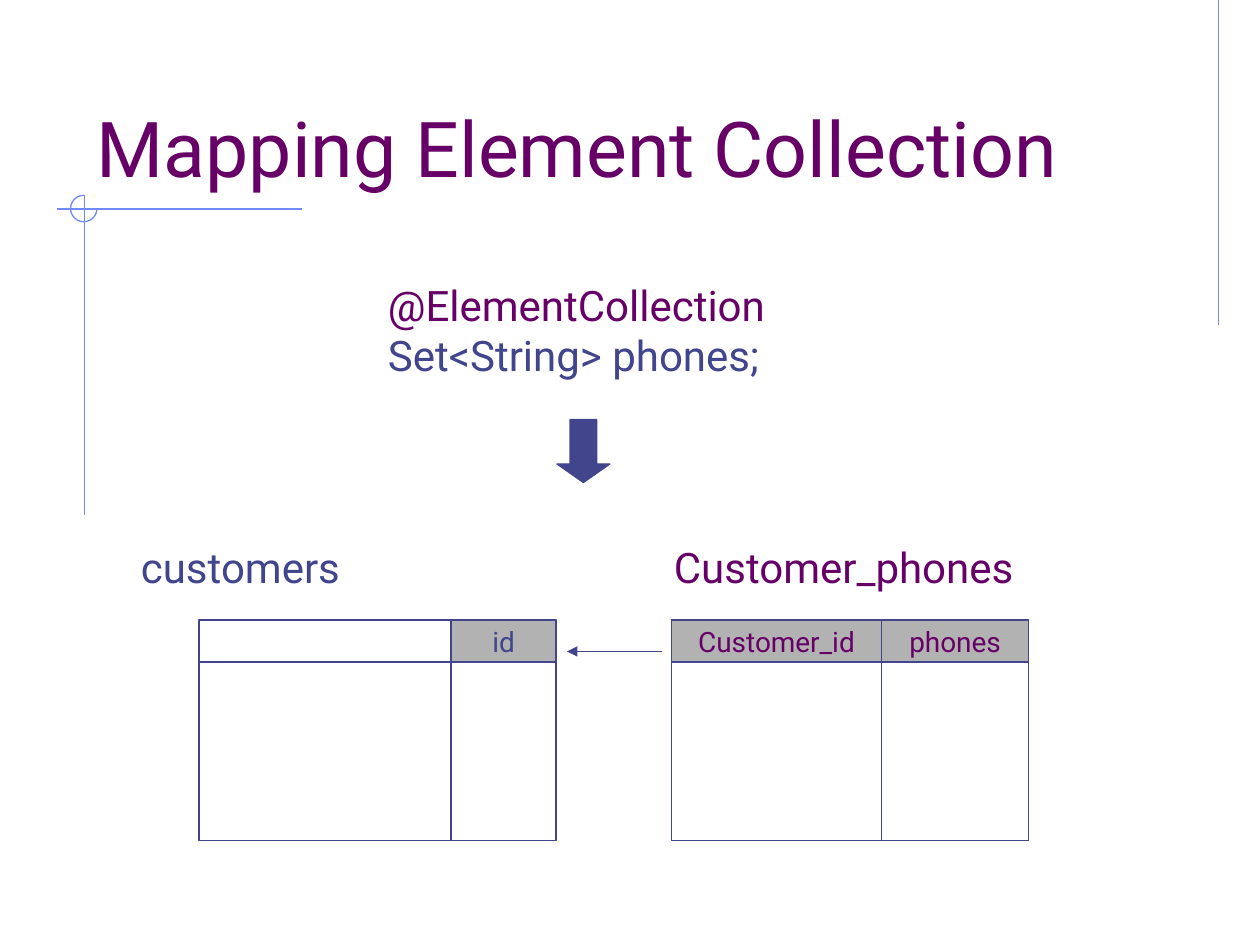
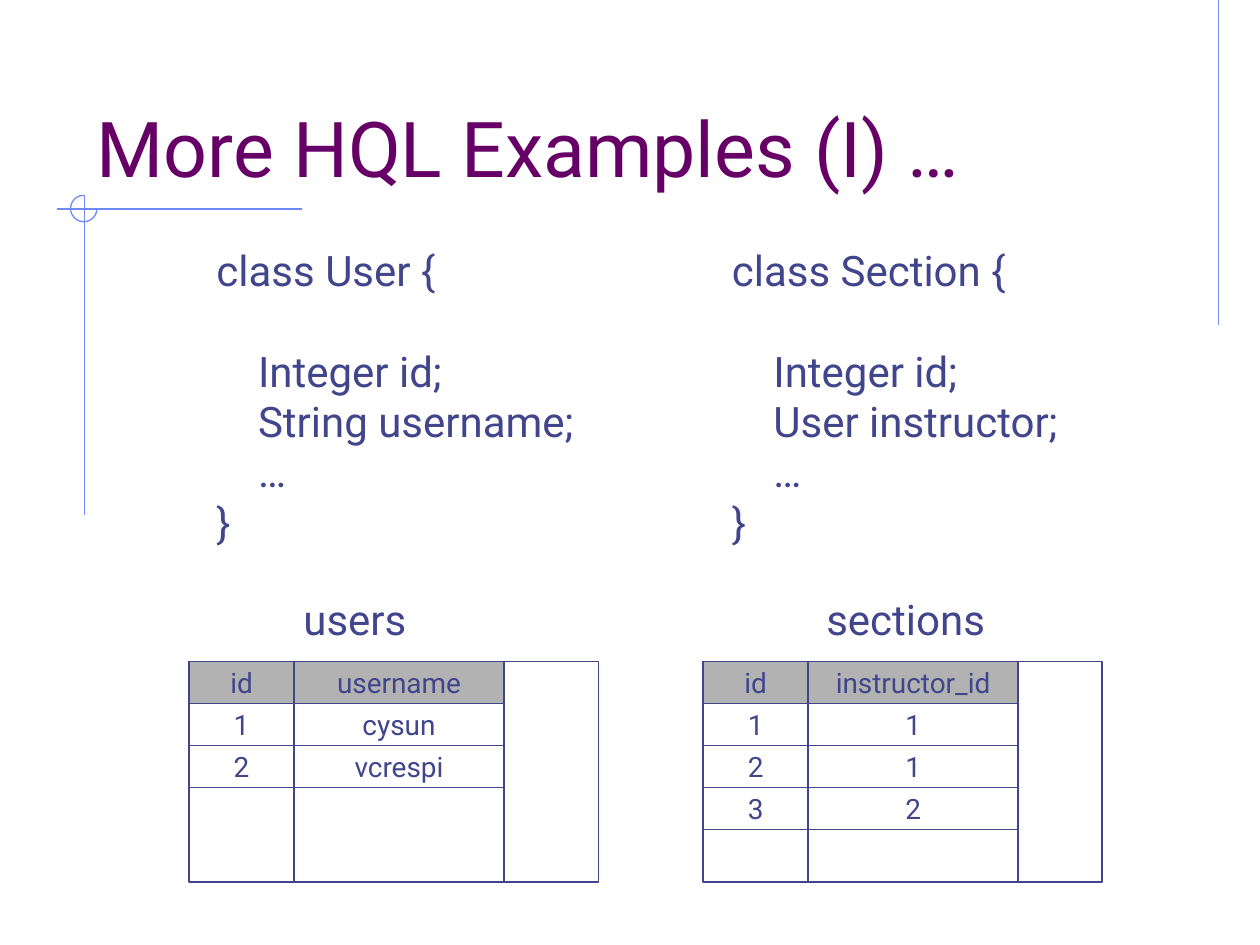
from dataclasses import dataclass
from itertools import accumulate

from lxml.etree import SubElement
from pptx import Presentation
from pptx.dml.color import RGBColor
from pptx.enum.shapes import MSO_CONNECTOR as Link, MSO_SHAPE as Form
from pptx.enum.text import MSO_ANCHOR as Anchor, MSO_AUTO_SIZE as Fit, PP_ALIGN as Align
from pptx.oxml.ns import qn
from pptx.util import Inches, Pt


@dataclass(frozen=True)
class Theme:
    """Colours, type sizes and grid measures of the deck."""
    font: str = "Roboto"
    plum: RGBColor = RGBColor(0x66, 0x00, 0x66)
    indigo: RGBColor = RGBColor(0x40, 0x45, 0x8C)
    sky: RGBColor = RGBColor(0x6F, 0x89, 0xF7)
    gray: RGBColor = RGBColor(0xB2, 0xB2, 0xB2)
    title: Pt = Pt(44)
    body: Pt = Pt(24)
    cell: Pt = Pt(16)
    stroke: Pt = Pt(0.75)
    blank_line: Pt = Pt(28.8)
    indent: float = 0.33
    unit: float = 1 / 12
    row: float = 4 / 12
    depth: float = 21 / 12


THEME = Theme()


def assign(target, values):
    """Set each named attribute on the target."""
    for name, value in values.items():
        setattr(target, name, value)


def write(para, text, size, color):
    """Put one formatted span into a paragraph."""
    span = para.add_run()
    span.text = text
    assign(span.font, {"size": size, "name": THEME.font})
    span.font.color.rgb = color


def add_text(page, box, lines, size=THEME.body, **frame_values):
    """Add a text box of (text, colour, paragraph values) lines."""
    frame = page.shapes.add_textbox(*map(Inches, box)).text_frame
    assign(frame, {"word_wrap": False, "auto_size": Fit.SHAPE_TO_FIT_TEXT, **frame_values})
    for index, (text, color, values) in enumerate(lines):
        para = frame.add_paragraph() if index else frame.paragraphs[0]
        write(para, text, size, color)
        assign(para, values)


def add_form(page, form, box, fill=None, line=THEME.indigo):
    """Add a flat preset shape, hollow unless a fill is given."""
    shape = page.shapes.add_shape(form, *map(Inches, box))
    shape.shadow.inherit = False
    if fill is None:
        shape.fill.background()
    else:
        shape.fill.solid()
        shape.fill.fore_color.rgb = fill
    shape.line.color.rgb = line
    shape.line.width = THEME.stroke
    return shape


def add_line(page, start, end, color=THEME.indigo, arrow=False):
    """Add a straight line, with an arrowhead at its end if asked."""
    line = page.shapes.add_connector(Link.STRAIGHT, *map(Inches, (*start, *end)))
    line.line.color.rgb = color
    line.line.width = THEME.stroke
    properties = line._element.spPr
    if arrow:
        SubElement(properties.find(qn("a:ln")), qn("a:tailEnd"), type="triangle")
    SubElement(properties, qn("a:effectLst"))


def add_cell(page, box, text, fill, color):
    """Add one bordered cell with centred text."""
    frame = add_form(page, Form.RECTANGLE, box, fill).text_frame
    assign(frame, {"word_wrap": False, "vertical_anchor": Anchor.MIDDLE})
    para = frame.paragraphs[0]
    para.alignment = Align.CENTER
    write(para, text, THEME.cell, color)


def add_schema(page, left, top, columns, rows=(), color=THEME.indigo):
    """Sketch a database table from (name, grid units) columns and rows."""
    widths = [units * THEME.unit for _, units in columns]
    edges = list(accumulate(widths, initial=left))
    add_form(page, Form.RECTANGLE, (left, top, sum(widths), THEME.depth))
    for edge in edges[1:-1]:
        add_line(page, (edge, top), (edge, top + THEME.depth))
    header = [name for name, _ in columns]
    for index, row in enumerate([header, *rows]):
        fill = None if index else THEME.gray
        for text, edge, width in zip(row, edges, widths):
            if text:
                box = (edge, top + index * THEME.row, width, THEME.row)
                add_cell(page, box, text, fill, color)


def add_code(page, box, opening, fields):
    """Write a class with its fields indented below a gap."""
    inner = {"left_margin": Inches(THEME.indent)}
    gaps = [{"space_before": THEME.blank_line}] + [{}] * (len(fields) - 1)
    lines = [(text, THEME.indigo, gap) for text, gap in zip(fields, gaps)]
    add_text(page, box, [(opening, THEME.indigo, {}), *lines, ("}", THEME.indigo, {})])
    frame = page.shapes[-1].text_frame
    for para in frame.paragraphs[1:-1]:
        para._p.get_or_add_pPr().set("marL", str(inner["left_margin"]))


def add_page(deck, title):
    """Add a page with the shared rules, ring and title."""
    page = deck.slides.add_slide(deck.slide_layouts[6])
    rules = [((9.67, 0), (9.67, 2.58)), ((2.4, 1.66), (0.45, 1.66)), ((0.67, 1.55), (0.67, 4.09))]
    for start, end in rules:
        add_line(page, start, end, THEME.sky)
    ring = add_form(page, Form.ARC, (0.56, 1.55, 0.21, 0.21), line=THEME.sky)
    ring.adjustments[0] = 0
    ring.adjustments[1] = 162
    add_text(page, (0.67, 0.33, 8.5, 1.25), [(title, THEME.plum, {})], THEME.title,
             word_wrap=True, auto_size=Fit.NONE, vertical_anchor=Anchor.BOTTOM)
    return page


def build_mapping(deck):
    """Show how an element collection maps to two tables."""
    page = add_page(deck, "Mapping Element Collection")
    add_text(page, (2.98, 2.17, 3.35, 0.9), [
        ("@ElementCollection", THEME.plum, {}), ("Set<String> phones;", THEME.indigo, {})])
    arrow = add_form(page, Form.DOWN_ARROW, (4.42, 3.33, 0.42, 0.5), THEME.indigo)
    arrow.adjustments[1] = 0.35
    top = 4.92
    add_text(page, (1.02, 4.25, 1.84, 0.5), [("customers", THEME.indigo, {})])
    add_schema(page, 1.58, top, [(None, 24), ("id", 10)])
    add_line(page, (3.58, top + THEME.row), (1.58, top + THEME.row))
    add_text(page, (5.25, 4.25, 3.05, 0.5), [("Customer_phones", THEME.plum, {})])
    add_schema(page, 5.33, top, [("Customer_id", 20), ("phones", 14)], color=THEME.plum)
    add_line(page, (5.25, 5.17), (4.5, 5.17), arrow=True)


def build_examples(deck):
    """Show two classes above their tables."""
    page = add_page(deck, "More HQL Examples (I) …")
    add_code(page, (1.62, 1.89, 3.24, 2.5), "class User {",
             ["Integer id;", "String username;", "…"])
    add_code(page, (5.71, 1.89, 2.98, 2.5), "class Section {",
             ["Integer id;", "User instructor;", "…"])
    add_text(page, (2.31, 4.66, 1.05, 0.5), [("users", THEME.indigo, {})])
    add_schema(page, 1.5, 5.25, [("id", 10), ("username", 20), (None, 9)],
               [("1", "cysun"), ("2", "vcrespi")])
    add_text(page, (6.46, 4.66, 1.48, 0.5), [("sections", THEME.indigo, {})])
    add_schema(page, 5.58, 5.25, [("id", 10), ("instructor_id", 20), (None, 8)],
               [("1", "1"), ("2", "1"), ("3", "2")])


def main():
    """Build and save the deck."""
    deck = Presentation()
    assign(deck, {"slide_width": Inches(10), "slide_height": Inches(7.5)})
    build_mapping(deck)
    build_examples(deck)
    deck.save("out.pptx")


if __name__ == "__main__":
    main()
